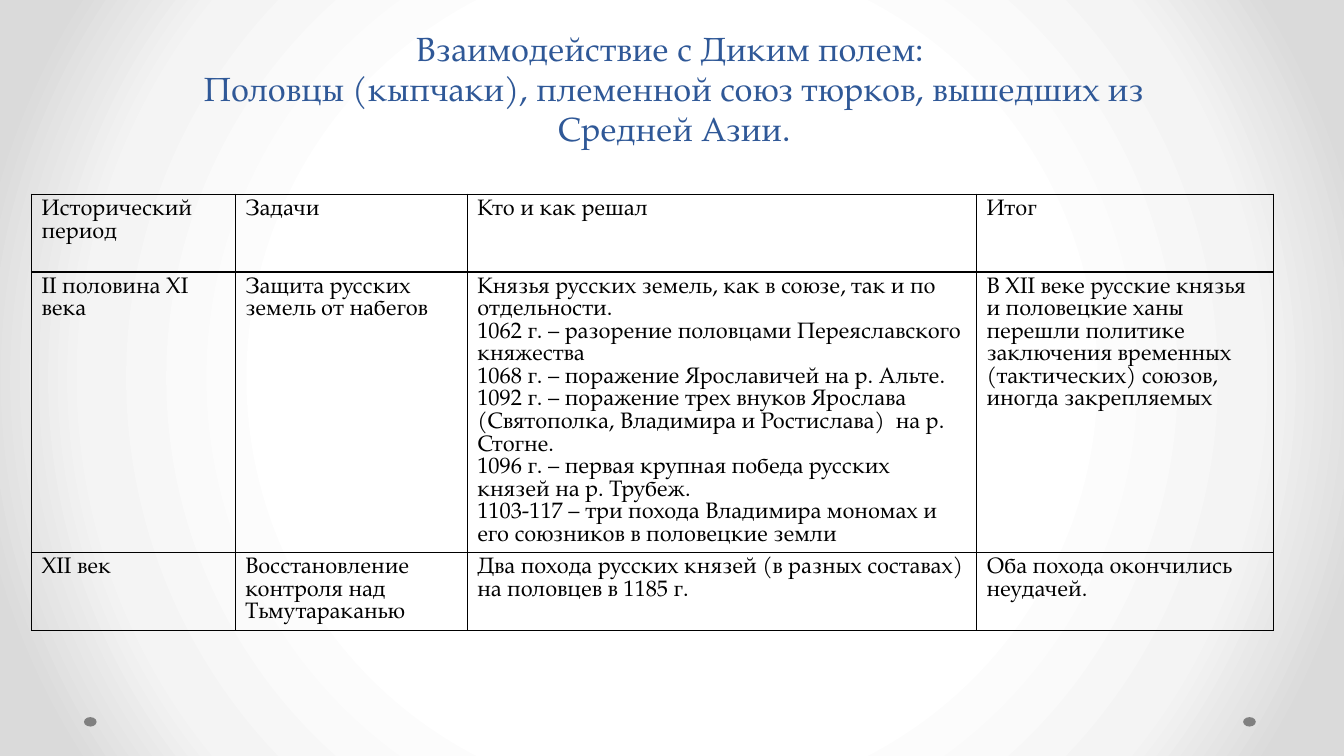
from dataclasses import dataclass

from lxml.etree import SubElement
from pptx import Presentation
from pptx.dml.color import RGBColor
from pptx.enum.shapes import MSO_SHAPE
from pptx.enum.text import MSO_ANCHOR, MSO_AUTO_SIZE, PP_ALIGN
from pptx.oxml import parse_xml
from pptx.oxml.ns import nsdecls, qn
from pptx.slide import Slide
from pptx.table import _Cell
from pptx.text.text import TextFrame
from pptx.util import Emu, Pt

EMU_PER_PX = 9525


@dataclass(frozen=True)
class Theme:
    font: str = "TeX Gyre Pagella"
    title_color: str = "2F5897"
    text_color: str = "000000"
    border_color: str = "000000"
    dot_color: str = "808080"
    background_stops: tuple[tuple[int, str], ...] = (
        (50, "FFFFFF"), (76, "F4F4F4"), (92, "DADADA"))
    title_size: float = 24
    title_line: float = 28.6
    text_size: float = 16
    text_line: float = 16.1
    border_width: float = 1


@dataclass(frozen=True)
class Box:
    left: int
    top: int
    width: int
    height: int

    def emu(self) -> tuple[Emu, Emu, Emu, Emu]:
        return px(self.left), px(self.top), px(self.width), px(self.height)


def px(length: int) -> Emu:
    return Emu(length * EMU_PER_PX)


THEME = Theme()
TITLE_BOX = Box(160, 29, 964, 117)
DOTS = [Box(left, 683, 12, 9) for left in (1184, 80)]
TABLE_LEFT, TABLE_TOP = 30, 185
COLUMN_WIDTHS = (194, 221, 485, 283)
ROW_HEIGHTS = (74, 267, 74)

TITLE = ("Взаимодействие с Диким полем: \v"
         "Половцы (кыпчаки), племенной союз тюрков, вышедших из Средней Азии.")
ROWS = (
    ("Исторический период", "Задачи", "Кто и как решал", "Итог"),
    (
        "II половина XI века",
        "Защита русских земель от набегов",
        "Князья русских земель, как в союзе, так и по отдельности.\n"
        "1062 г. – разорение половцами Переяславского княжества\n"
        "1068 г. – поражение Ярославичей на р. Альте.\n"
        "1092 г. – поражение трех внуков Ярослава "
        "(Святополка, Владимира и Ростислава)  на р. Стогне.\n"
        "1096 г. – первая крупная победа русских князей на р. Трубеж.\n"
        "1103-117 – три похода Владимира мономах и его союзников в половецкие земли",
        "В XII веке русские князья и половецкие ханы перешли политике "
        "заключения временных (тактических) союзов, иногда закрепляемых",
    ),
    (
        "XII век",
        "Восстановление контроля над Тьмутараканью",
        "Два похода русских князей (в разных составах) на половцев в 1185 г.",
        "Оба похода окончились неудачей.",
    ),
)


def format_text(text_frame: TextFrame, size: float, line: float, color: str,
                alignment: PP_ALIGN) -> None:
    for paragraph in text_frame.paragraphs:
        paragraph.alignment = alignment
        paragraph.line_spacing = Pt(line)
        paragraph.space_before = paragraph.space_after = Pt(0)
        for run in paragraph.runs:
            run.font.name = THEME.font
            run.font.size = Pt(size)
            run.font.color.rgb = RGBColor.from_string(color)


def set_background(slide: Slide) -> None:
    stops = "".join(
        f'<a:gs pos="{position * 1000}"><a:srgbClr val="{color}"/></a:gs>'
        for position, color in THEME.background_stops)
    background = parse_xml(
        f'<p:bg {nsdecls("p", "a")}><p:bgPr><a:gradFill rotWithShape="1">'
        f'<a:gsLst>{stops}</a:gsLst><a:path path="circle">'
        '<a:fillToRect l="50000" t="50000" r="50000" b="50000"/></a:path>'
        '</a:gradFill><a:effectLst/></p:bgPr></p:bg>')
    slide.element.cSld.insert(0, background)


def add_dot(slide: Slide, box: Box) -> None:
    shape = slide.shapes.add_shape(MSO_SHAPE.OVAL, *box.emu())
    shape.shadow.inherit = False
    shape.fill.solid()
    shape.fill.fore_color.rgb = RGBColor.from_string(THEME.dot_color)
    shape.line.fill.background()


def fill_title(slide: Slide) -> None:
    title = slide.shapes.title
    title.left, title.top, title.width, title.height = TITLE_BOX.emu()
    text_frame = title.text_frame
    text_frame.text = TITLE
    text_frame.word_wrap = True
    text_frame.auto_size = MSO_AUTO_SIZE.NONE
    text_frame.vertical_anchor = MSO_ANCHOR.BOTTOM
    text_frame.margin_left = text_frame.margin_right = px(10)
    text_frame.margin_top = text_frame.margin_bottom = px(5)
    format_text(text_frame, THEME.title_size, THEME.title_line,
                THEME.title_color, PP_ALIGN.CENTER)


def add_borders(cell: _Cell) -> None:
    properties = cell._tc.get_or_add_tcPr()
    for position, side in enumerate(("lnL", "lnR", "lnT", "lnB")):
        border = SubElement(properties, qn(f"a:{side}"), w=str(Pt(THEME.border_width)))
        fill = SubElement(border, qn("a:solidFill"))
        SubElement(fill, qn("a:srgbClr"), val=THEME.border_color)
        properties.insert(position, border)


def add_history_table(slide: Slide) -> None:
    box = Box(TABLE_LEFT, TABLE_TOP, sum(COLUMN_WIDTHS), sum(ROW_HEIGHTS))
    table = slide.shapes.add_table(len(ROWS), len(COLUMN_WIDTHS), *box.emu()).table
    table.first_row = table.horz_banding = False
    for column, width in zip(table.columns, COLUMN_WIDTHS):
        column.width = px(width)
    for row, height, texts in zip(table.rows, ROW_HEIGHTS, ROWS):
        row.height = px(height)
        for cell, text in zip(row.cells, texts):
            cell.text_frame.text = text
            cell.fill.background()
            format_text(cell.text_frame, THEME.text_size, THEME.text_line,
                        THEME.text_color, PP_ALIGN.LEFT)
            add_borders(cell)


def main() -> None:
    presentation = Presentation()
    presentation.slide_width, presentation.slide_height = px(1280), px(720)
    slide = presentation.slides.add_slide(presentation.slide_layouts[5])

    # Backdrop
    set_background(slide)
    for dot in DOTS:
        add_dot(slide, dot)

    # Content
    fill_title(slide)
    add_history_table(slide)

    presentation.save("out.pptx")


if __name__ == "__main__":
    main()
